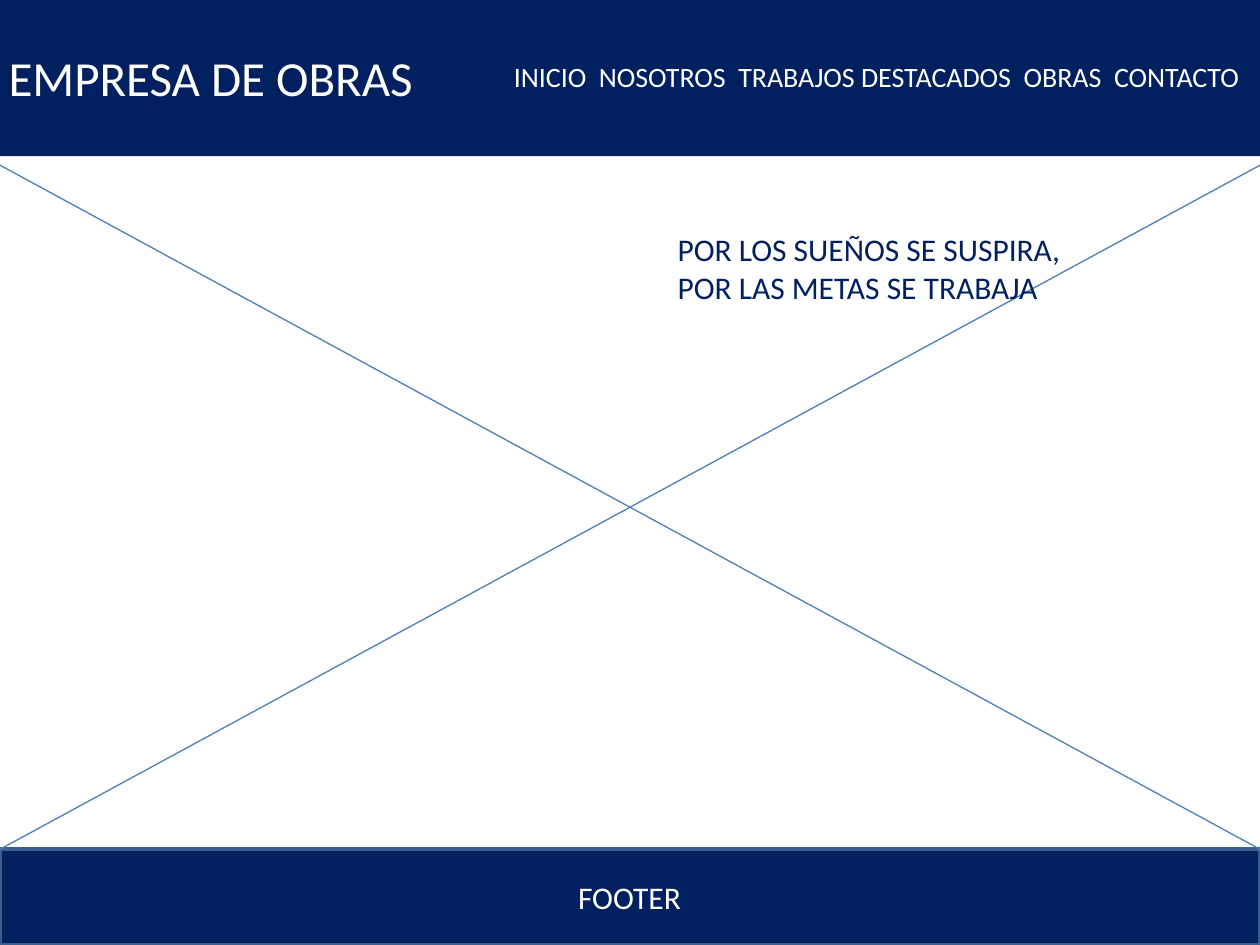
from lxml import etree
from pptx import Presentation
from pptx.dml.color import RGBColor
from pptx.enum import shapes, text
from pptx.oxml.ns import qn
from pptx.util import Cm, Pt

NAVY = RGBColor(0x00, 0x20, 0x60)
WHITE = RGBColor(0xFF, 0xFF, 0xFF)
EDGE = RGBColor(0x3A, 0x5F, 0x8C)
CROSS = RGBColor(0x4B, 0x7E, 0xBC)
FONT = "Calibri"
PAGE_WIDTH, PAGE_HEIGHT = 25.4, 19.05
MENU = ["INICIO", "NOSOTROS", "TRABAJOS DESTACADOS", "OBRAS", "CONTACTO"]
SLOGAN = ["POR LOS SUEÑOS SE SUSPIRA,", "POR LAS METAS SE TRABAJA"]


def write(frame, lines, size, color, align=text.PP_ALIGN.LEFT):
    frame.word_wrap = True
    for index, line in enumerate(lines):
        para = frame.add_paragraph() if index else frame.paragraphs[0]
        para.alignment = align
        span = para.add_run()
        span.text = line
        span.font.name = FONT
        span.font.size = Pt(size)
        span.font.color.rgb = color


def add_text(page, left, top, width, height, *style):
    box = page.shapes.add_textbox(Cm(left), Cm(top), Cm(width), Cm(height))
    write(box.text_frame, *style)


def add_header(page, left, top, width, height):
    # Title band
    title = page.shapes.title
    title.left, title.top = Cm(left), Cm(top)
    title.width, title.height = Cm(width), Cm(height)
    title.fill.solid()
    title.fill.fore_color.rgb = NAVY
    frame = title.text_frame
    frame.auto_size = text.MSO_AUTO_SIZE.NONE
    frame.vertical_anchor = text.MSO_ANCHOR.MIDDLE
    write(frame, ["EMPRESA DE OBRAS"], 28, WHITE)
    # Menu
    add_text(page, left + 10.19, top + 1.1, 15.7, 0.94,
             ["  ".join(MENU)], 16, WHITE)


def add_hero(page, left, top, width, height):
    # Crossed diagonals of the image area
    right, bottom = left + width, top + height
    for start, end in ((left, right), (right, left)):
        line = page.shapes.add_connector(shapes.MSO_CONNECTOR.STRAIGHT,
                                         Cm(start), Cm(top), Cm(end), Cm(bottom))
        line.line.color.rgb = CROSS
        line.line.width = Pt(0.75)
        etree.SubElement(line._element.spPr, qn("a:effectLst"))
    # Slogan
    add_text(page, left + 13.41, top + 1.19, 11.99, 1.8, SLOGAN, 18, NAVY)


def add_footer(page, left, top, width, height):
    band = page.shapes.add_shape(shapes.MSO_SHAPE.RECTANGLE,
                                 Cm(left), Cm(top), Cm(width), Cm(height))
    band.shadow.inherit = False
    band.fill.solid()
    band.fill.fore_color.rgb = NAVY
    band.line.color.rgb = EDGE
    band.line.width = Pt(2)
    add_text(page, left + 3.99, top + 0.46, 17.4, 1.02,
             ["FOOTER"], 18, WHITE, text.PP_ALIGN.CENTER)


def main():
    deck = Presentation()
    deck.slide_width, deck.slide_height = Cm(PAGE_WIDTH), Cm(PAGE_HEIGHT)
    page = deck.slides.add_slide(deck.slide_layouts.get_by_name("Title Only"))
    hero_top, footer_top = 3.33, 17.12
    add_header(page, -0.08, -0.03, 25.5, 3.18)
    add_footer(page, 0, footer_top, PAGE_WIDTH, PAGE_HEIGHT - footer_top)
    add_hero(page, 0, hero_top, PAGE_WIDTH, footer_top - hero_top)
    deck.save("out.pptx")


if __name__ == "__main__":
    main()
